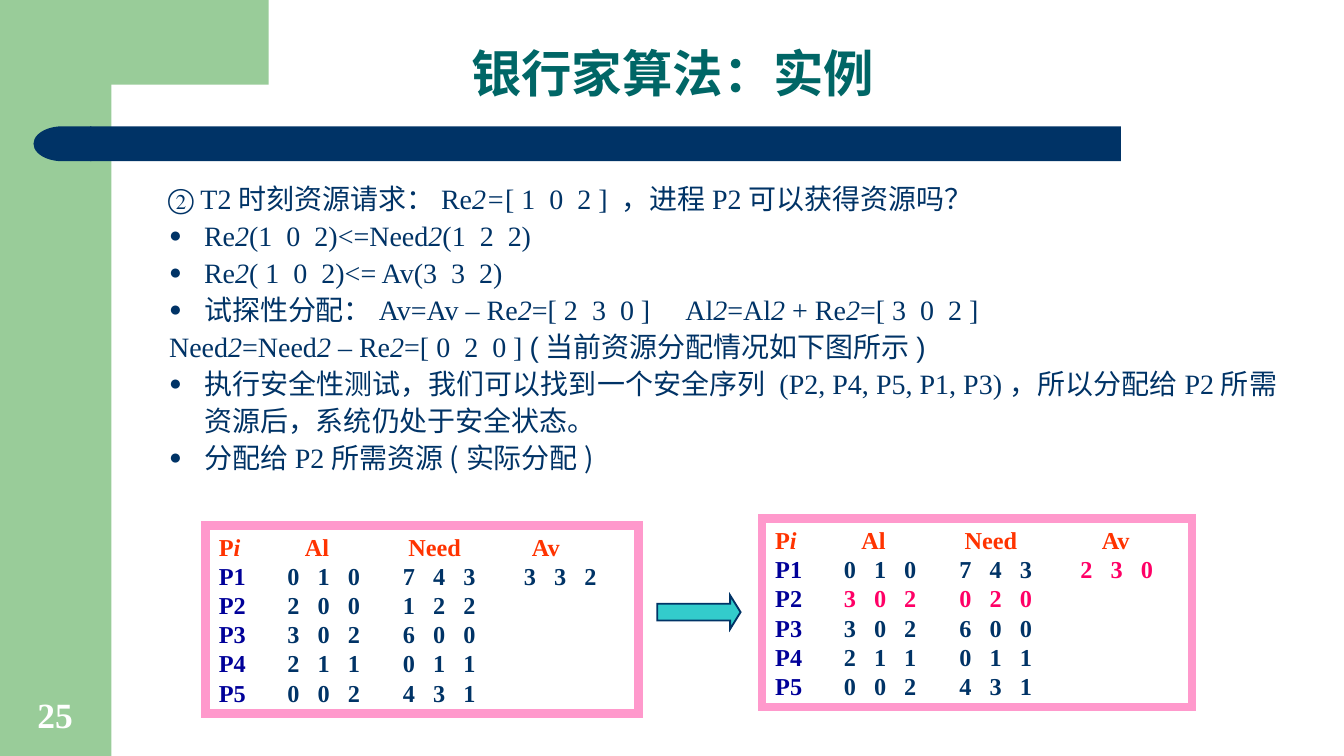
from lxml import etree
from pptx import Presentation
from pptx.dml.color import RGBColor
from pptx.enum.shapes import MSO_SHAPE
from pptx.enum.text import MSO_ANCHOR, PP_ALIGN
from pptx.oxml.ns import qn
from pptx.util import Inches, Pt

RECT = MSO_SHAPE.RECTANGLE
ROUND = MSO_SHAPE.ROUNDED_RECTANGLE
DELAY = MSO_SHAPE.FLOWCHART_DELAY
ARROW = MSO_SHAPE.RIGHT_ARROW
TOP, BOTTOM = MSO_ANCHOR.TOP, MSO_ANCHOR.BOTTOM
LEFT, CENTER, JUSTIFY = PP_ALIGN.LEFT, PP_ALIGN.CENTER, PP_ALIGN.JUSTIFY


class Theme:
    green, navy, teal, aqua = "99CC99", "003366", "006666", "33CCCC"
    pink, red, blue, hot, white = "FF99CC", "FF3300", "000099", "FF0066", "FFFFFF"
    serif, sans, han = "Times New Roman", "Arial", "Noto Sans CJK SC"
    title, body, state, page = 27, 15, 13, 19


TITLE = "银行家算法：实例"
PAGE = "25"
TWO = ("2", "italic")
BODY = [
    ("lead", [("② T2", "serif"), ("时刻资源请求：", "sans"), ("Re", "serif"), ("2=", "italic"),
              ("[ 1|0|2 ] ", "serif"), ("，进程", "sans"), ("P2", "serif"),
              ("可以获得资源吗？", "sans")]),
    ("dot", [("Re", "serif"), TWO, ("(1|0|2)<=Need", "serif"), TWO, ("(1|2|2)", "serif")]),
    ("dot", [("Re", "serif"), TWO, ("( 1|0|2)<= Av(3|3|2)", "serif")]),
    ("dot", [("试探性分配：", "sans"), ("Av=Av – Re", "serif"), TWO, ("=[ 2|3|0 ]", "serif"),
             (" ", "wide"), ("Al", "serif"), TWO, ("=Al", "serif"), TWO, (" + Re", "serif"),
             TWO, ("=[ 3|0|2 ]", "serif")]),
    ("plain", [("Need", "serif"), TWO, ("=Need", "serif"), TWO, (" – Re", "serif"), TWO,
               ("=[ 0|2|0 ] ", "serif"), ("(当前资源分配情况如下图所示)", "sans")]),
    ("dot", [("执行安全性测试，我们可以找到一个安全序列 ", "sans"),
             ("(P2, P4, P5, P1, P3)", "serif"), ("，所以分配给", "sans"), ("P2", "serif"),
             ("所需资源后，系统仍处于安全状态。", "sans")]),
    ("dot", [("分配给", "sans"), ("P2", "serif"), ("所需资源(实际分配)", "han")]),
]
HEADS = ["Al", "Need", "Av"]
BEFORE = {
    "P1": ["010", "743", "332"],
    "P2": ["200", "122"],
    "P3": ["302", "600"],
    "P4": ["211", "011"],
    "P5": ["002", "431"],
}
AFTER = {**BEFORE, "P1": ["010", "743", "230"], "P2": ["302", "020"]}
STATES = [
    ((5.67, 3.86, 3.2, 1.4), AFTER, 2.43),
    ((1.53, 3.91, 3.22, 1.4), BEFORE, 2.33),
]
STARTS, STEP = [0.51, 1.37, 2.27], 0.225
NOTCH = [(2, 0), (2, 0.63), (0.83, 0.63), (0.77, 0.64), (0.71, 0.69), (0.68, 0.78),
         (0.67, 0.87), (0.67, 0.96), (0.5, 0.96)]

deck = Presentation()
deck.slide_width = Inches(10)
deck.slide_height = deck.slide_width * 9 // 16
slide = deck.slides.add_slide(deck.slide_layouts[6])


def node(parent, tag, **attrs):
    return etree.SubElement(parent, qn(tag), attrs)


def paint(shape, fill=None, line=None, width=1):
    shape.shadow.inherit = False
    if fill:
        shape.fill.solid()
        shape.fill.fore_color.rgb = RGBColor.from_string(fill)
    else:
        shape.fill.background()
    if line:
        shape.line.color.rgb = RGBColor.from_string(line)
        shape.line.width = Pt(width)
        node(shape.line._get_or_add_ln(), "a:miter", lim="800000")
    else:
        shape.line.fill.background()


def draw(kind, area, *look):
    shape = slide.shapes.add_shape(kind, *map(Inches, area))
    paint(shape, *look)
    return shape


def frame(shape, anchor):
    text = shape.text_frame
    text.word_wrap, text.vertical_anchor = True, anchor
    return text


def box(area, anchor=TOP):
    return frame(slide.shapes.add_textbox(*map(Inches, area)), anchor)


def style(run, size, color, face=Theme.serif, bold=False, italic=False):
    font = run.font
    font.size, font.name, font.bold, font.italic = Pt(size), face, bold, italic
    font.color.rgb = RGBColor.from_string(color)


def add(para, text, *args, **kwargs):
    run = para.add_run()
    run.text = text
    style(run, *args, **kwargs)
    return run


def label(area, text, size, color, face):
    para = box(area, BOTTOM).paragraphs[0]
    para.text, para.alignment = text, CENTER
    style(para.runs[0], size, color, face, bold=True)
    return para


def paras(text, count):
    return [text.paragraphs[0]] + [text.add_paragraph() for _ in range(count - 1)]


def stops(para, places):
    tabs = node(para._p.get_or_add_pPr(), "a:tabLst")
    for place in places:
        node(tabs, "a:tab", pos=str(Inches(place)), algn="l")


def bullet(para, kind):
    props = para._p.get_or_add_pPr()
    left, hang = (0.14, 0) if kind == "lead" else (0.41, -0.26)
    props.set("marL", str(Inches(left)))
    props.set("indent", str(Inches(hang)))
    if kind == "dot":
        node(node(props, "a:buClr"), "a:srgbClr", val=Theme.navy)
        node(props, "a:buSzPct", val="75000")
        node(props, "a:buFont", typeface=Theme.sans)
        node(props, "a:buChar", char="●")
    else:
        node(props, "a:buNone")


def space(para, extra):
    run = add(para, " ", Theme.body, Theme.navy)
    run._r.get_or_add_rPr().set("spc", str(extra))


def write(para, text, kind):
    if kind == "wide":
        space(para, 1500)
        return
    face = getattr(Theme, kind, Theme.serif)
    for i, part in enumerate(text.split("|")):
        if i:
            space(para, 375)
        add(para, part, Theme.body, Theme.navy, face, italic=kind == "italic")


def state(area, rows, last):
    text = frame(draw(RECT, area, None, Theme.pink, 4.5), TOP)
    head, *lines = paras(text, len(rows) + 1)
    stops(head, [0.64, 1.41, last])
    add(head, "P", Theme.state, Theme.red, bold=True)
    add(head, "i", Theme.state, Theme.red, bold=True, italic=True)
    add(head, "".join("\t" + name for name in HEADS), Theme.state, Theme.red, bold=True)
    for para, (name, cells) in zip(lines, rows.items()):
        stops(para, [start + STEP * i for start in STARTS for i in range(3)])
        add(para, name, Theme.state, Theme.blue, bold=True)
        for cell, old in zip(cells, BEFORE[name]):
            color = Theme.navy if cell == old else Theme.hot
            add(para, "".join("\t" + digit for digit in cell), Theme.state, color, bold=True)
    for para in [head, *lines]:
        para.alignment = LEFT


draw(RECT, (0, 0, 0.83, 5.62), Theme.green).height = deck.slide_height
edge = slide.shapes.build_freeform(Inches(0.5), 0)
edge.add_line_segments([(Inches(x), Inches(y)) for x, y in NOTCH])
paint(edge.convert_to_shape(), Theme.green)
draw(ROUND, (0.67, 0.94, 7.67, 0.26), Theme.navy).adjustments[0] = 0
cap = draw(DELAY, (0.25, 0.94, 0.43, 0.26), Theme.navy)
cap._element.spPr.get_or_add_xfrm().set("flipH", "1")

body = box((1.01, 1.28, 8.59, 2.44))
for para, (kind, parts) in zip(paras(body, len(BODY)), BODY):
    bullet(para, kind)
    para.level = 0 if kind == "lead" else 1
    para.alignment, para.line_spacing = JUSTIFY, 1.1
    for text, face in parts:
        write(para, text, face)

for area, rows, last in STATES:
    state(area, rows, last)

arrow = draw(ARROW, (4.89, 4.43, 0.62, 0.25), Theme.aqua, Theme.navy)
arrow.adjustments[0], arrow.adjustments[1] = 0.5, 0.31

title = label((1.29, 0.33, 7.43, 0.49), TITLE, Theme.title, Theme.teal, Theme.sans)
title.line_spacing = 0.9
label((0, 5.12, 0.82, 0.4), PAGE, Theme.page, Theme.white, Theme.serif)

deck.save("out.pptx")
